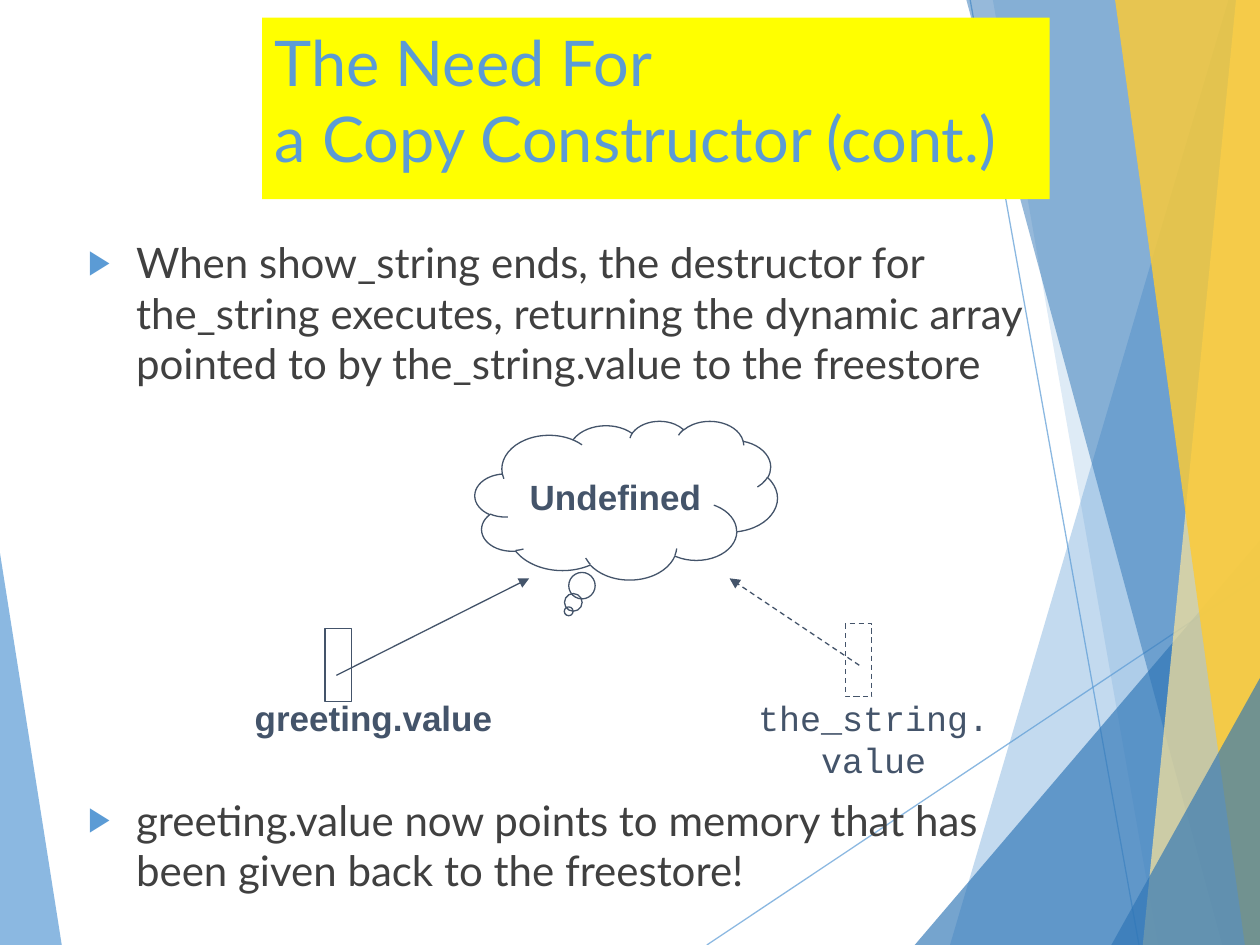
"""Build a slide on why a class with a dynamic array needs a copy constructor."""
from dataclasses import dataclass

import lxml.etree
import pptx
import pptx.dml.color
import pptx.enum.dml
import pptx.enum.shapes
import pptx.enum.text
import pptx.oxml
import pptx.oxml.ns
import pptx.util

Inches = pptx.util.Inches
DASH = pptx.enum.dml.MSO_LINE.DASH


@dataclass(frozen=True)
class Theme:
    blue: str = "5B9BD5"
    dark_blue: str = "2E75B6"
    cream: str = "FEE599"
    gold: str = "FDCB34"
    yellow: str = "FFFF00"
    text: str = "404040"
    ink: str = "44546A"
    font: str = "Lato"
    label_font: str = "Arial"
    code_font: str = "Courier New"
    title_size: int = 36
    body_size: int = 24
    label_size: int = 20
    line_width: float = 0.75


THEME = Theme()

FACETS = [
    ([(0, 4.39), (0.49, 7.5), (0, 7.5)], THEME.blue, 70),
    ([(9.75, 0), (7.54, 7.5), (10, 7.5), (10, 0)], THEME.blue, 36),
    ([(7.88, 0), (9.19, 7.5), (10, 7.5), (10, 0)], THEME.blue, 20),
    ([(7.26, 7.5), (10, 4.29), (10, 7.5)], THEME.dark_blue, 66),
    ([(7.67, 0), (9.7, 7.5), (10, 7.5), (10, 0)], THEME.dark_blue, 50),
    ([(9.81, 0), (9.07, 7.5), (10, 7.5), (10, 0)], THEME.cream, 70),
    ([(8.85, 0), (9.88, 7.5), (10, 7.5), (10, 0)], THEME.gold, 82),
    ([(8.82, 7.5), (10, 5.38), (10, 7.5)], THEME.dark_blue, 66),
]
RAYS = [((5.61, 7.5), (10, 4.57)), ((7.7, 0), (9.04, 7.5))]


def rgb(color):
    """Turn a hex string into a colour."""
    return pptx.dml.color.RGBColor.from_string(color)


def add_child(parent, tag, **attributes):
    """Append a DrawingML element to a parent."""
    child = lxml.etree.SubElement(parent, pptx.oxml.ns.qn(tag))
    for name, value in attributes.items():
        child.set(name, str(value))
    return child


def set_alpha(fill_parent, percent):
    """Make the solid colour below an element partly transparent."""
    color = next(fill_parent.iter(pptx.oxml.ns.qn("a:srgbClr")))
    add_child(color, "a:alpha", val=percent * 1000)


def place(shape, left, top, width, height):
    """Move and size a shape, in inches."""
    shape.left, shape.top = Inches(left), Inches(top)
    shape.width, shape.height = Inches(width), Inches(height)


def format_paragraph(paragraph, font, size, color, bold=False):
    """Format every run of a paragraph."""
    for run in paragraph.runs:
        run.font.name = font
        run.font.size = pptx.util.Pt(size)
        run.font.color.rgb = rgb(color)
        run.font.bold = bold


def style_line(line, color, dash=None):
    """Give an outline the common width and a colour."""
    line.color.rgb = rgb(color)
    line.width = pptx.util.Pt(THEME.line_width)
    if dash:
        line.dash_style = dash


def add_facet(slide, points, color, opacity):
    """Draw a translucent polygon of the background."""
    corners = [(Inches(x), Inches(y)) for x, y in points]
    builder = slide.shapes.build_freeform(*corners[0], scale=1.0)
    builder.add_line_segments(corners[1:], close=True)
    shape = builder.convert_to_shape()
    shape.shadow.inherit = False
    shape.fill.solid()
    shape.fill.fore_color.rgb = rgb(color)
    shape.line.fill.background()
    set_alpha(shape._element.spPr, opacity)


def add_line(slide, start, end, color, dash=None, arrow=False, opacity=100):
    """Draw a straight line, with an arrowhead at its end if wanted."""
    ends = [Inches(value) for value in (*start, *end)]
    connector = slide.shapes.add_connector(
        pptx.enum.shapes.MSO_CONNECTOR.STRAIGHT, *ends)
    style_line(connector.line, color, dash)
    if opacity < 100:
        set_alpha(connector.line._get_or_add_ln(), opacity)
    if arrow:
        add_child(connector.line._get_or_add_ln(), "a:tailEnd", type="triangle")
    add_child(connector._element.spPr, "a:effectLst")


def add_outline(slide, kind, box, dash=None):
    """Draw an unfilled shape."""
    shape = slide.shapes.add_shape(kind, *[Inches(value) for value in box])
    shape.shadow.inherit = False
    shape.fill.background()
    style_line(shape.line, THEME.ink, dash)
    return shape


def write_label(shape, text, font, bold):
    """Write centred diagram text into a shape."""
    frame = shape.text_frame
    frame.word_wrap = True
    frame.text = text
    frame.paragraphs[0].alignment = pptx.enum.text.PP_ALIGN.CENTER
    format_paragraph(frame.paragraphs[0], font, THEME.label_size, THEME.ink, bold)


def add_label(slide, box, text, font, bold=False):
    """Add a text box that names a pointer."""
    write_label(slide.shapes.add_textbox(*[Inches(value) for value in box]),
                text, font, bold)


def set_bullet(paragraph):
    """Give a paragraph a hanging triangle bullet."""
    properties = paragraph._p.get_or_add_pPr()
    properties.set("marL", str(Inches(0.38)))
    properties.set("indent", str(Inches(-0.38)))
    add_child(add_child(properties, "a:buClr"), "a:srgbClr", val=THEME.blue)
    add_child(properties, "a:buSzPct", val=80000)
    add_child(properties, "a:buChar", char="▶")


def fill_title(title, text):
    """Write the title on its yellow panel."""
    place(title, 2.08, 0.14, 6.25, 1.44)
    title.fill.solid()
    title.fill.fore_color.rgb = rgb(THEME.yellow)
    frame = title.text_frame
    frame.text = text
    frame.vertical_anchor = pptx.enum.text.MSO_ANCHOR.TOP
    frame.auto_size = pptx.enum.text.MSO_AUTO_SIZE.NONE
    frame.paragraphs[0].alignment = pptx.enum.text.PP_ALIGN.LEFT
    format_paragraph(frame.paragraphs[0], THEME.font, THEME.title_size, THEME.blue)


def fill_body(body, items):
    """Write the bullets, each with its space before in points."""
    place(body, 0.6, 1.83, 9.07, 5.25)
    frame = body.text_frame
    frame.text = "\n".join(text for text, space in items)
    frame.auto_size = pptx.enum.text.MSO_AUTO_SIZE.NONE
    for paragraph, (text, space) in zip(frame.paragraphs, items):
        paragraph.space_before = pptx.util.Pt(space)
        set_bullet(paragraph)
        format_paragraph(paragraph, THEME.font, THEME.body_size, THEME.text)


def add_diagram(slide):
    """Draw both pointers aiming at the undefined memory."""
    shapes = pptx.enum.shapes.MSO_SHAPE
    add_label(slide, (1.83, 5.48, 2.27, 0.43), "greeting.value", THEME.label_font, True)
    add_label(slide, (5.86, 5.48, 2.15, 0.73), "the_string.\vvalue", THEME.code_font)
    add_outline(slide, shapes.RECTANGLE, (2.58, 4.99, 0.21, 0.58))
    add_outline(slide, shapes.RECTANGLE, (6.71, 4.95, 0.21, 0.58), DASH)
    add_line(slide, (2.67, 5.36), (4.2, 4.59), THEME.ink, arrow=True)
    add_line(slide, (6.82, 5.28), (5.79, 4.59), THEME.ink, DASH, arrow=True)
    cloud = add_outline(slide, shapes.CLOUD_CALLOUT, (3.77, 3.34, 2.4, 1.26))
    cloud.adjustments[0], cloud.adjustments[1] = -0.19, 0.7
    cloud.text_frame.vertical_anchor = pptx.enum.text.MSO_ANCHOR.MIDDLE
    write_label(cloud, "Undefined", THEME.label_font, True)


def main():
    """Build and save the slide."""
    presentation = pptx.Presentation()
    presentation.slide_width, presentation.slide_height = Inches(10), Inches(7.5)
    slide = presentation.slides.add_slide(presentation.slide_layouts[1])
    title, body = slide.placeholders
    for start, end in RAYS:
        add_line(slide, start, end, THEME.blue, opacity=70)
    for points, color, opacity in FACETS:
        add_facet(slide, points, color, opacity)
    for placeholder in (title, body):
        slide.shapes._spTree.append(placeholder._element)
    fill_title(title, "The Need For\va Copy Constructor (cont.)")
    fill_body(body, [
        ("When show_string ends, the destructor for\vthe_string executes, returning "
         "the dynamic array\vpointed to by the_string.value to the freestore", 0),
        ("greeting.value now points to memory that has\v"
         "been given back to the freestore!", 232),
    ])
    add_diagram(slide)
    presentation.save("out.pptx")


if __name__ == "__main__":
    main()
